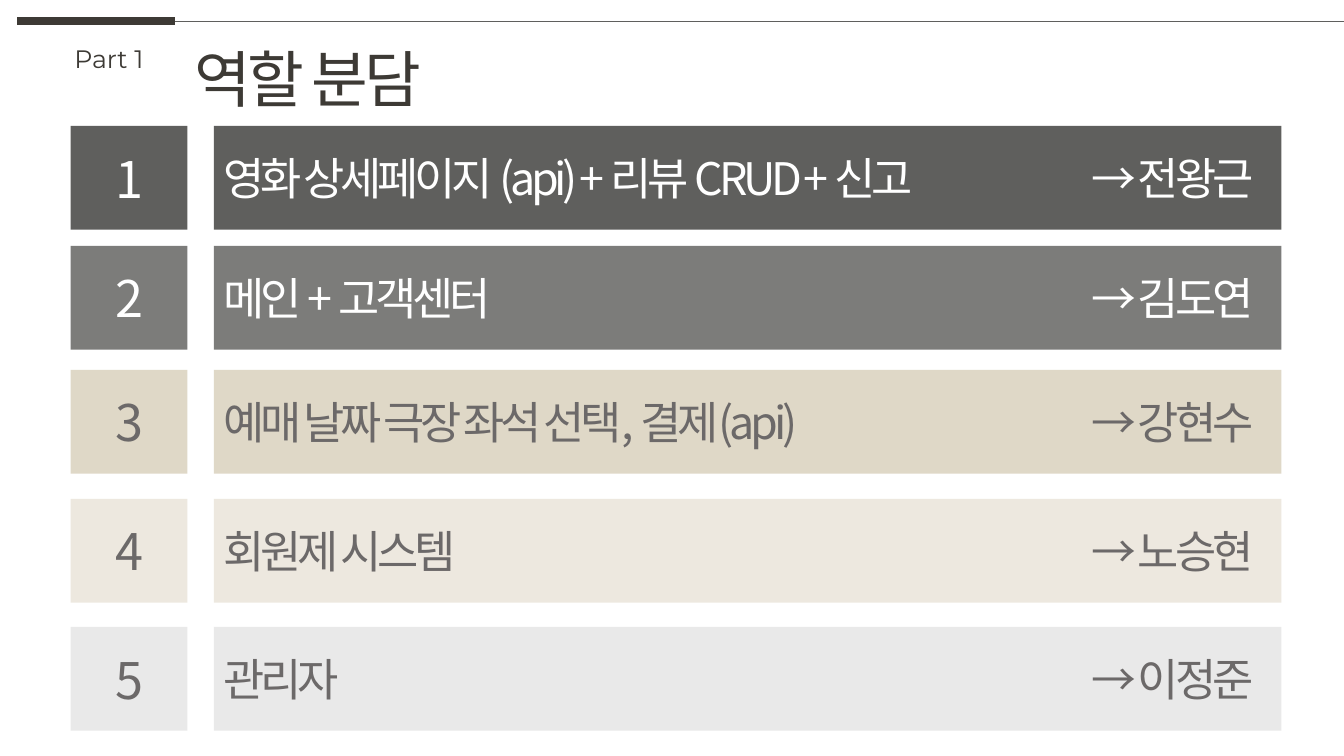
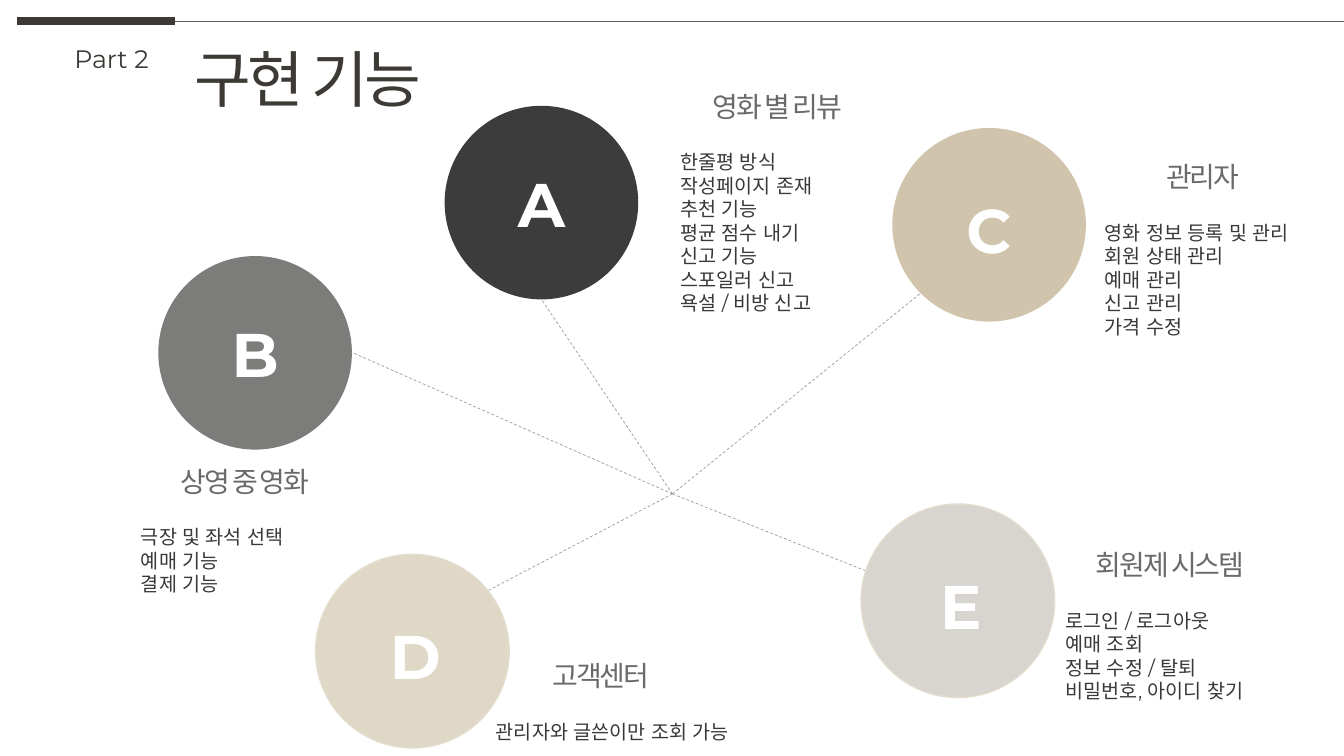
from dataclasses import dataclass
from lxml import etree
from pptx import Presentation
from pptx.dml.color import RGBColor
from pptx.enum.dml import MSO_LINE
from pptx.enum.shapes import MSO_CONNECTOR, MSO_SHAPE
from pptx.enum.text import MSO_ANCHOR, MSO_AUTO_SIZE, PP_ALIGN
from pptx.oxml.ns import qn
from pptx.util import Inches, Pt

LEFT, MID, RIGHT, FULL = PP_ALIGN.LEFT, PP_ALIGN.CENTER, PP_ALIGN.RIGHT, PP_ALIGN.JUSTIFY
TOP, CENTER = MSO_ANCHOR.TOP, MSO_ANCHOR.MIDDLE
RECT, OVAL = MSO_SHAPE.RECTANGLE, MSO_SHAPE.OVAL
STRAIGHT, DASH, FIXED = MSO_CONNECTOR.STRAIGHT, MSO_LINE.DASH, MSO_AUTO_SIZE.NONE


@dataclass(frozen=True)
class Style:
    size: int
    font: str
    color: str
    space: float = 0
    bold: bool = False


@dataclass(frozen=True)
class Theme:
    ink: str = "3D3A35"
    dark: str = "5F5F5D"
    gray: str = "7C7C7A"
    sand: str = "DFD8C7"
    text: str = "6C6969"
    white: str = "FFFFFF"
    body: str = "3A3838"
    dash: str = "9E9C9C"
    rim: str = "E3DDCE"
    main: str = "Montserrat"
    sans: str = "Noto Sans CJK KR"


T = Theme()
TITLE = Style(44, T.main, T.ink, -3)
PART = Style(18, T.main, T.ink)
MARK = Style(44, T.main, T.white, bold=True)
HEAD = Style(20, T.sans, T.text, -1.5)
BODY = Style(14, T.main, T.body)

ROLES = [
    (1.25, T.dark, T.white, "영화 상세페이지 (api) + 리뷰 CRUD + 신고", "전왕근"),
    (2.44, T.gray, T.white, "메인 + 고객센터", "김도연"),
    (3.67, T.sand, T.text, "예매 날짜 극장 좌석 선택, 결제(api)", "강현수"),
    (4.95, "EDE8DF", T.text, "회원제 시스템", "노승현"),
    (6.22, "E9E9E9", T.text, "관리자", "이정준"),
]
HUB = (6.67, 4.9)
DISC = 1.92
NODES = [
    dict(mark="A", at=(4.41, 1.05), fill="3C3C3C", rim=None, nudge=(0, 0), end=(5.37, 2.97),
         head="영화 별 리뷰", box=(6.89, 0.83, 1.64), list=(6.65, 1.44),
         items=["한줄평 방식", "작성페이지 존재", "추천 기능", "평균 점수 내기",
                "신고 기능", "스포일러 신고", "욕설 / 비방 신고"]),
    dict(mark="B", at=(1.57, 2.54), fill=T.gray, rim=None, nudge=(0, 0), end=(3.5, 3.5),
         head="상영 중 영화", box=(1.61, 4.55, 1.64), list=(1.3, 5.16),
         items=["극장 및 좌석 선택", "예매 기능", "결제 기능"]),
    dict(mark="C", at=(8.85, 1.27), fill="D0C5AC", rim=None, nudge=(0, 0.04), end=(9.13, 2.91),
         head="관리자", box=(11.44, 1.53, 0.98), list=(10.86, 2.14),
         items=["영화 정보 등록 및 관리", "회원 상태 관리", "예매 관리", "신고 관리", "가격 수정"]),
    dict(mark="D", at=(3.13, 5.5), fill=T.sand, rim=T.rim, nudge=(0.03, 0.04), end=(4.82, 5.87),
         head="고객센터", box=(5.34, 6.48, 1.24), list=(4.82, 7.09),
         items=["관리자와 글쓴이만 조회 가능"]),
    dict(mark="E", at=(8.54, 5), fill="D8D4D0", rim=T.rim, nudge=(0.03, 0.04), end=(8.63, 5.68),
         head="회원제 시스템", box=(10.69, 5.38, 1.83), list=(10.47, 5.99),
         items=["로그인 / 로그아웃", "예매 조회", "정보 수정 / 탈퇴", "비밀번호, 아이디 찾기"]),
]


def rgb(code):
    return RGBColor.from_string(code)


def write(shape, text, style, align=LEFT, anchor=TOP, wrap=True):
    frame = shape.text_frame
    frame.text = text
    frame.word_wrap = wrap
    frame.auto_size = FIXED
    frame.vertical_anchor = anchor
    for para in frame.paragraphs:
        para.alignment = align
        for run in para.runs:
            font = run.font
            font.size, font.name, font.bold = Pt(style.size), style.font, style.bold
            font.color.rgb = rgb(style.color)
            props = run._r.get_or_add_rPr()
            if style.space:
                props.set("spc", str(int(style.space * 100)))
            etree.SubElement(props, qn("a:ea")).set("typeface", style.font)


def label(slide, box, text, style, align=LEFT, anchor=TOP, wrap=True):
    shape = slide.shapes.add_textbox(*map(Inches, box))
    write(shape, text, style, align, anchor, wrap)


def block(slide, kind, box, fill, rim=None):
    shape = slide.shapes.add_shape(kind, *map(Inches, box))
    shape.shadow.inherit = False
    shape.fill.solid()
    shape.fill.fore_color.rgb = rgb(fill)
    if rim:
        shape.line.color.rgb = rgb(rim)
        shape.line.width = Pt(1)
    else:
        shape.line.fill.background()
    return shape


def rule(slide, start, end, color, width, dash=None):
    line = slide.shapes.add_connector(STRAIGHT, *map(Inches, start + end))
    line.line.color.rgb = rgb(color)
    line.line.width = Pt(width)
    if dash:
        line.line.dash_style = dash
    etree.SubElement(line._element.spPr, qn("a:effectLst"))


def page(deck, part, title):
    slide = deck.slides.add_slide(deck.slide_layouts[5])
    rule(slide, (0.17, 0.21), (1.74, 0.21), T.ink, 6)
    rule(slide, (1.74, 0.21), (13.33, 0.21), T.dark, 0.5)
    head = slide.shapes.title
    head.left, head.top, head.width, head.height = map(Inches, (1.83, 0.36, 2.67, 0.84))
    write(head, title, TITLE, wrap=False)
    label(slide, (0.64, 0.38, 0.97, 0.4), part, PART, wrap=False)
    return slide


def roles(deck):
    slide = page(deck, "Part 1", "역할 분담")
    high = 1.03
    for num, (top, fill, color, task, name) in enumerate(ROLES, 1):
        style = Style(32, T.sans, color, -3)
        tile = block(slide, RECT, (0.7, top, 1.16, high), fill)
        write(tile, str(num), Style(36, T.sans, color, -3), MID, CENTER)
        band = block(slide, RECT, (2.12, top, 10.59, high), fill)
        write(band, task, style, LEFT, CENTER)
        label(slide, (9.68, top, 2.85, high), "→ " + name, style, RIGHT, CENTER)


def tasks(deck):
    slide = page(deck, "Part 2", "구현 기능")
    for node in NODES:
        rule(slide, HUB, node["end"], T.dash, 0.5, DASH)
    for node in NODES:
        disc = block(slide, OVAL, node["at"] + (DISC, DISC), node["fill"], node["rim"])
        write(disc, node["mark"], MARK, MID, CENTER, False)
        frame = disc.text_frame
        right, down = node["nudge"]
        frame.margin_left, frame.margin_top = Inches(2 * right), Inches(2 * down)
        frame.margin_right = frame.margin_bottom = 0
        label(slide, node["box"] + (0.44,), node["head"], HEAD, MID, CENTER, False)
        high = round(0.1 + 0.235 * len(node["items"]), 2)
        label(slide, node["list"] + (3.13, high), "\n".join(node["items"]), BODY, FULL)


def main():
    deck = Presentation()
    deck.slide_width, deck.slide_height = Inches(13.33), Inches(7.5)
    roles(deck)
    tasks(deck)
    deck.save("out.pptx")


if __name__ == "__main__":
    main()
